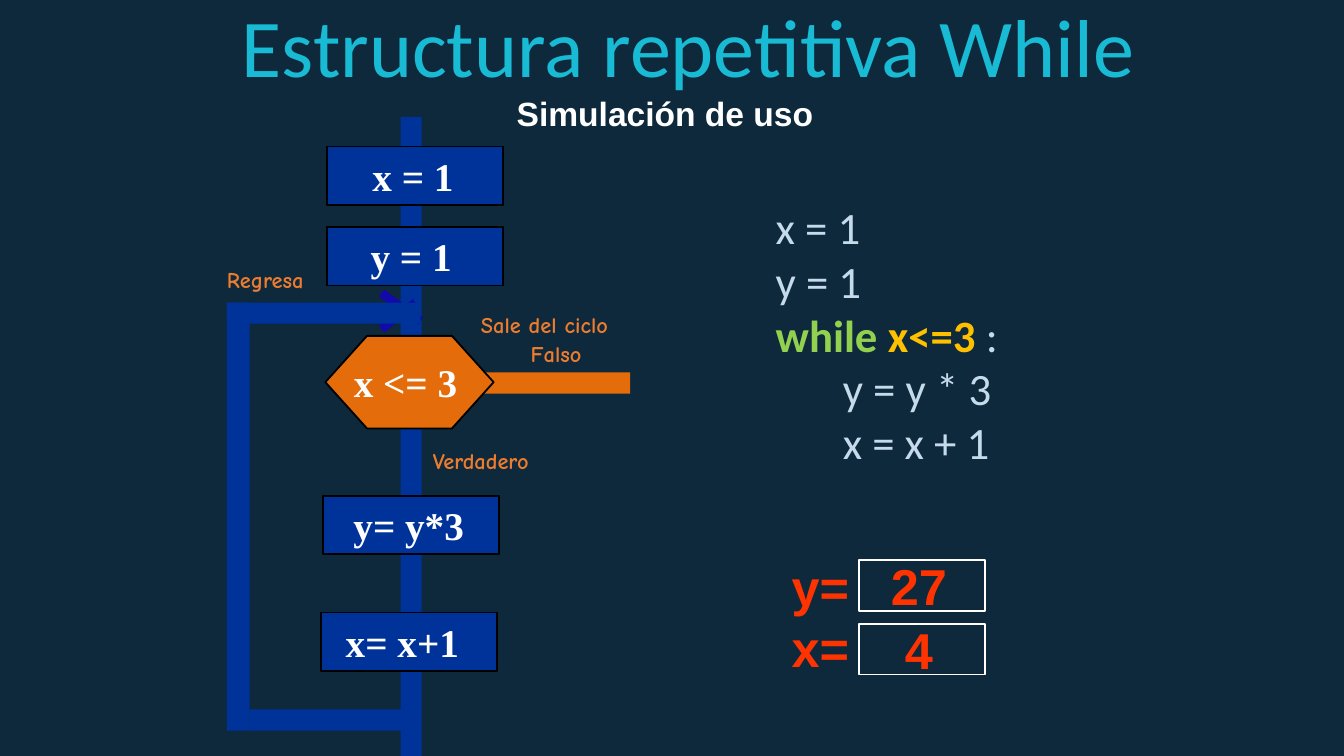
import pptx
import pptx.dml.color
import pptx.enum.shapes
import pptx.enum.text
import pptx.util
from pptx.util import Cm

RGBColor = pptx.dml.color.RGBColor
MSO_SHAPE = pptx.enum.shapes.MSO_SHAPE
PP_ALIGN = pptx.enum.text.PP_ALIGN
MSO_ANCHOR = pptx.enum.text.MSO_ANCHOR

NIGHT = RGBColor(0x0D, 0x29, 0x3B)
BLUE = RGBColor(0x00, 0x33, 0x99)
INDIGO = RGBColor(0x13, 0x08, 0xAC)
ORANGE = RGBColor(0xE4, 0x6C, 0x0A)
LABEL_ORANGE = RGBColor(0xEC, 0x7C, 0x30)
RED = RGBColor(0xFF, 0x33, 0x00)
CYAN = RGBColor(0x18, 0xBA, 0xD4)
PALE_BLUE = RGBColor(0xC5, 0xDA, 0xEB)
GREEN = RGBColor(0x92, 0xD0, 0x50)
YELLOW = RGBColor(0xFF, 0xC0, 0x00)
WHITE = RGBColor(0xFF, 0xFF, 0xFF)
BLACK = RGBColor(0x00, 0x00, 0x00)

presentation = pptx.Presentation()
presentation.slide_width = Cm(25.4)
presentation.slide_height = Cm(14.29)
slide = presentation.slides.add_slide(presentation.slide_layouts[5])
slide.background.fill.solid()
slide.background.fill.fore_color.rgb = NIGHT


def write(shape, text, font, size, color, bold=True, align=PP_ALIGN.LEFT):
    """Put text without insets into a shape and format every run."""
    frame = shape.text_frame
    frame.text = text
    frame.margin_left = frame.margin_right = frame.margin_top = frame.margin_bottom = 0
    for paragraph in frame.paragraphs:
        paragraph.alignment = align
        for run in paragraph.runs:
            run.font.name = font
            run.font.size = pptx.util.Pt(size)
            run.font.bold = bold
            run.font.color.rgb = color
    return frame


def add_block(kind, left, top, width, height, fill=None, line=None):
    """Add a preset shape with an optional fill and outline."""
    shape = slide.shapes.add_shape(kind, Cm(left), Cm(top), Cm(width), Cm(height))
    shape.shadow.inherit = False
    if fill is None:
        shape.fill.background()
    else:
        shape.fill.solid()
        shape.fill.fore_color.rgb = fill
    if line is None:
        shape.line.fill.background()
    else:
        shape.line.color.rgb = line
        shape.line.width = pptx.util.Pt(0.96)
    return shape


# Title and subtitle
title = slide.shapes.title
title.left, title.top, title.width, title.height = Cm(4.57), Cm(-0.08), Cm(18.26), Cm(1.75)
title_frame = write(title, "Estructura repetitiva While", "Calibri", 44, CYAN, bold=False)
title_frame.vertical_anchor = MSO_ANCHOR.TOP
title_frame.word_wrap = False
title_frame.auto_size = pptx.enum.text.MSO_AUTO_SIZE.NONE

subtitle = slide.shapes.add_textbox(Cm(7.21), Cm(1.75), Cm(10.72), Cm(1.27))
write(subtitle, "Simulación de uso", "Arial", 18, WHITE, align=PP_ALIGN.CENTER)

# Exit branch and main flow, behind the steps
add_block(MSO_SHAPE.RECTANGLE, 6.93, 7.04, 4.98, 0.4, ORANGE)
add_block(MSO_SHAPE.RECTANGLE, 7.57, 2.21, 0.4, 12.08, BLUE)

# Steps; the right inset shifts the centred text to the left
for kind, text, left, top, width, height, fill, inset in [
    (MSO_SHAPE.HEXAGON, "x <= 3", 6.15, 6.35, 3.18, 1.75, ORANGE, 0.15),
    (MSO_SHAPE.RECTANGLE, "y= y*3", 6.1, 9.37, 3.33, 1.11, BLUE, 0.08),
    (MSO_SHAPE.RECTANGLE, "x= x+1", 6.07, 11.58, 3.33, 1.11, BLUE, 0.26),
    (MSO_SHAPE.RECTANGLE, "y = 1", 6.18, 4.29, 3.33, 1.11, BLUE, 0.15),
    (MSO_SHAPE.RECTANGLE, "x = 1", 6.18, 2.77, 3.33, 1.11, BLUE, 0.08),
]:
    step = add_block(kind, left, top, width, height, fill, BLACK)
    if kind == MSO_SHAPE.HEXAGON:
        step.adjustments[0] = 0.45
    step_frame = write(step, text, "Times New Roman", 21, WHITE, align=PP_ALIGN.CENTER)
    step_frame.margin_right = Cm(inset)
    step_frame.vertical_anchor = MSO_ANCHOR.MIDDLE
    step_frame.word_wrap = False

# Return loop with its arrowhead strokes
add_block(MSO_SHAPE.RECTANGLE, 4.72, 13.41, 2.9, 0.4, BLUE)
add_block(MSO_SHAPE.RECTANGLE, 4.29, 5.72, 0.43, 8.09, BLUE)
for start_x, start_y, end_x, end_y in [(7.95, 6.07, 7.21, 5.54), (7.21, 6.22, 7.85, 5.72)]:
    stroke = slide.shapes.add_connector(
        pptx.enum.shapes.MSO_CONNECTOR.STRAIGHT,
        Cm(start_x), Cm(start_y), Cm(end_x), Cm(end_y))
    stroke.line.color.rgb = INDIGO
    stroke.line.width = pptx.util.Pt(4.56)
    stroke._element.spPr.append(pptx.oxml.xmlchemy.OxmlElement("a:effectLst"))
add_block(MSO_SHAPE.RECTANGLE, 4.29, 5.72, 3.66, 0.4, BLUE)

# Branch labels
for text, left, top, width in [
    ("Sale del ciclo", 9.09, 5.89, 2.79),
    ("Falso", 10.03, 6.43, 1.09),
    ("Verdadero", 8.18, 8.46, 2.16),
    ("Regresa", 4.29, 5.03, 1.65),
]:
    label = slide.shapes.add_textbox(Cm(left), Cm(top), Cm(width), Cm(0.53))
    write(label, text, "Comic Neue", 12, LABEL_ORANGE).word_wrap = False

# Code: each line is a list of text, colour and weight
code_lines = [
    [("x = 1", PALE_BLUE, False)],
    [("y = 1", PALE_BLUE, False)],
    [("while ", GREEN, True), ("x<=3 ", YELLOW, True), (":", PALE_BLUE, False)],
    [("\ty = y * 3", PALE_BLUE, False)],
    [("\tx = x + 1", PALE_BLUE, False)],
]
code = slide.shapes.add_textbox(Cm(14.66), Cm(3.78), Cm(7.14), Cm(5.56))
code_text = "\n".join("".join(part[0] for part in line) for line in code_lines)
code_frame = write(code, code_text, "Calibri", 24, PALE_BLUE, bold=False)
code_frame.word_wrap = True
for paragraph, line in zip(code_frame.paragraphs, code_lines):
    paragraph.line_spacing = pptx.util.Pt(28.8)
    paragraph.clear()
    for text, color, bold in line:
        run = paragraph.add_run()
        run.text = text
        run.font.name = "Calibri"
        run.font.size = pptx.util.Pt(24)
        run.font.bold = bold
        run.font.color.rgb = color

# Final values
names = slide.shapes.add_textbox(Cm(14.96), Cm(10.52), Cm(1.19), Cm(2.29))
names_frame = write(names, "y=\nx=", "Arial", 27, RED)
names_frame.word_wrap = False
names_frame.paragraphs[1].line_spacing = pptx.util.Pt(32.2)
for row, value in enumerate(["27", "4"]):
    value_box = add_block(MSO_SHAPE.RECTANGLE, 16.23, 10.59 + 1.2 * row, 2.39, 0.96, line=WHITE)
    value_frame = write(value_box, value, "Arial", 27, RED, align=PP_ALIGN.CENTER)
    value_frame.margin_right = Cm(0.12)
    value_frame.vertical_anchor = MSO_ANCHOR.MIDDLE

presentation.save("out.pptx")
